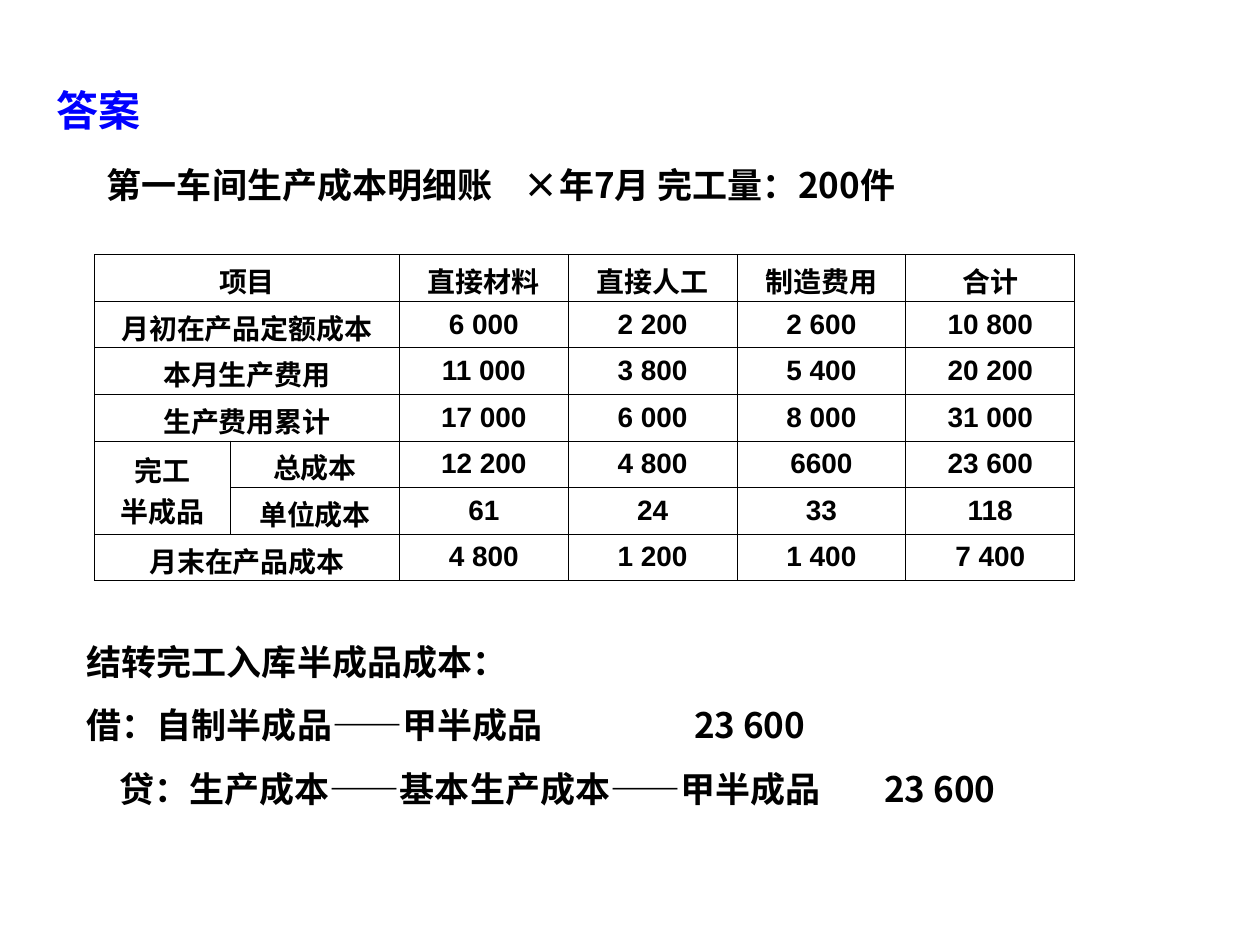
import pptx
import pptx.util
import pptx.dml.color
import pptx.enum.text
import pptx.oxml.ns
from lxml import etree

Inches, Pt = pptx.util.Inches, pptx.util.Pt
Align = pptx.enum.text.PP_ALIGN
Anchor = pptx.enum.text.MSO_ANCHOR
qn = pptx.oxml.ns.qn

COLORS = {"heading": "0000FF", "text": "000000"}
CHINESE_FONT = "Noto Sans CJK SC"

HEADING = [("答案", [])]
# Each line: text, tab stops in inches
LEDGER_TITLE = [("第一车间生产成本明细账\t×年7月 完工量：200件", [3.31])]
ENTRIES = [
    ("结转完工入库半成品成本：", []),
    ("借：自制半成品——甲半成品\t23 600", [4.82]),
    ("\t贷：生产成本——基本生产成本——甲半成品\t23 600", [0.26, 6.33]),
]

COLUMN_WIDTHS = [1.08] + [1.34] * 5
ROW_HEIGHT = 0.37
LEDGER = [
    ["项目", "", "直接材料", "直接人工", "制造费用", "合计"],
    ["月初在产品定额成本", "", "6 000", "2 200", "2 600", "10 800"],
    ["本月生产费用", "", "11 000", "3 800", "5 400", "20 200"],
    ["生产费用累计", "", "17 000", "6 000", "8 000", "31 000"],
    ["完工\n半成品", "总成本", "12 200", "4 800", "6600", "23 600"],
    ["", "单位成本", "61", "24", "33", "118"],
    ["月末在产品成本", "", "4 800", "1 200", "1 400", "7 400"],
]
FULL_LABEL_ROWS = [0, 1, 2, 3, 6]
ARIAL_LABEL_ROWS = [1, 2, 3]


def format_runs(paragraph, size, font_name, color):
    for run in paragraph.runs:
        run.font.size = Pt(size)
        run.font.bold = True
        run.font.name = font_name
        run.font.color.rgb = pptx.dml.color.RGBColor.from_string(color)
        east_asian = etree.SubElement(run.font._element, qn("a:ea"))
        east_asian.set("typeface", CHINESE_FONT)


def set_tabs(paragraph, stops):
    if not stops:
        return
    tab_list = etree.SubElement(paragraph._p.get_or_add_pPr(), qn("a:tabLst"))
    for stop in stops:
        etree.SubElement(tab_list, qn("a:tab"), pos=str(Inches(stop)), algn="l")


def fill_text(shape, lines, size, font_name, color):
    frame = shape.text_frame
    frame.word_wrap = True
    frame.auto_size = pptx.enum.text.MSO_AUTO_SIZE.NONE
    frame.vertical_anchor = Anchor.TOP
    frame.margin_left = frame.margin_right = Inches(0.1)
    frame.margin_top, frame.margin_bottom = Inches(0.07), Inches(0.05)
    for index, (text, stops) in enumerate(lines):
        paragraph = frame.add_paragraph() if index else frame.paragraphs[0]
        paragraph.text = text
        set_tabs(paragraph, stops)
        paragraph.alignment = Align.LEFT
        paragraph.line_spacing = Pt(size * 1.2)
        paragraph.space_before = Pt(12.5 if index else 0)
        format_runs(paragraph, size, font_name, color)


def add_borders(cell):
    properties = cell._tc.get_or_add_tcPr()
    for position, side in enumerate(("lnL", "lnR", "lnT", "lnB")):
        line = etree.Element(qn("a:" + side), w=str(Pt(0.45)))
        fill = etree.SubElement(line, qn("a:solidFill"))
        etree.SubElement(fill, qn("a:srgbClr"), val=COLORS["text"])
        properties.insert(position, line)


def add_ledger(slide):
    table = slide.shapes.add_table(
        len(LEDGER), len(COLUMN_WIDTHS), Inches(0.75), Inches(2.02),
        Inches(sum(COLUMN_WIDTHS)), Inches(ROW_HEIGHT * len(LEDGER))).table
    table.first_row = table.horz_banding = False
    for column, width in zip(table.columns, COLUMN_WIDTHS):
        column.width = Inches(width)
    for row in FULL_LABEL_ROWS:
        table.cell(row, 0).merge(table.cell(row, 1))
    table.cell(4, 0).merge(table.cell(5, 0))

    for row, values in enumerate(LEDGER):
        table.rows[row].height = Inches(ROW_HEIGHT)
        for column, value in enumerate(values):
            cell = table.cell(row, column)
            is_label = row == 0 or column < 2
            cell.fill.background()
            add_borders(cell)
            cell.vertical_anchor = Anchor.MIDDLE
            # Chinese lines are taller, so they get tighter margins
            cell.margin_top = Inches(0.04 if is_label else 0.05)
            cell.margin_bottom = Inches(0 if is_label else 0.05)
            cell.text_frame.text = value
            use_arial = not is_label or row in ARIAL_LABEL_ROWS
            for paragraph in cell.text_frame.paragraphs:
                paragraph.alignment = Align.CENTER
                format_runs(paragraph, 16,
                            "Arial" if use_arial else "Times New Roman",
                            COLORS["text"])
                # Keeps the empty merged cells from stretching their rows
                if not value:
                    paragraph.font.size = Pt(10)


def main():
    presentation = pptx.Presentation()
    presentation.slide_width, presentation.slide_height = Inches(10), Inches(7.5)
    slide = presentation.slides.add_slide(presentation.slide_layouts[5])

    heading = slide.shapes.title
    heading.left, heading.top = Inches(0.35), Inches(0.6)
    heading.width, heading.height = Inches(4.02), Inches(0.5)
    fill_text(heading, HEADING, 24, "Arial", COLORS["heading"])

    add_ledger(slide)
    for lines, box in ((LEDGER_TITLE, (0.75, 1.23, 7.72, 0.77)),
                       (ENTRIES, (0.59, 5.01, 8.4, 1.45))):
        textbox = slide.shapes.add_textbox(*map(Inches, box))
        fill_text(textbox, lines, 20, CHINESE_FONT, COLORS["text"])

    presentation.save("out.pptx")


if __name__ == "__main__":
    main()
